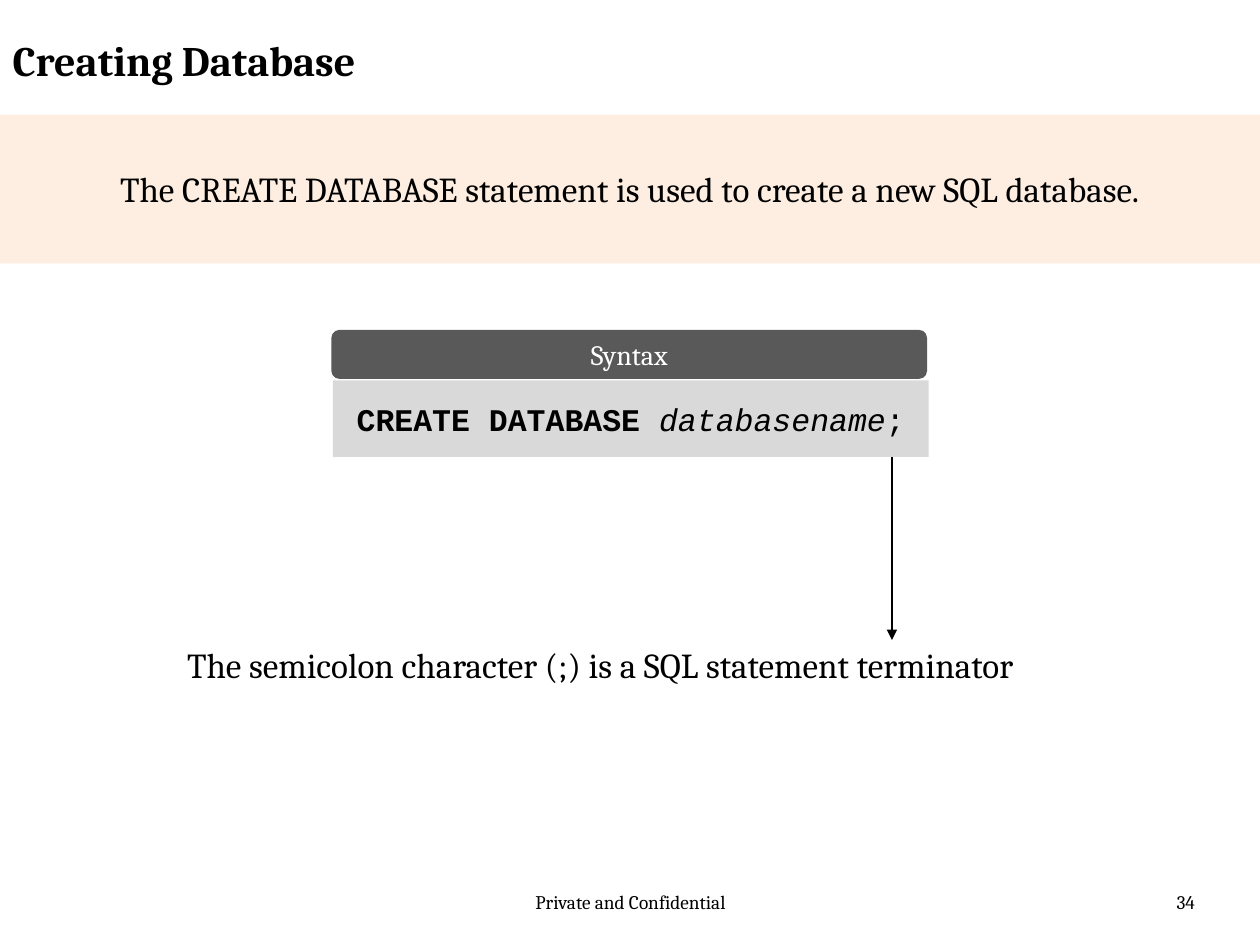
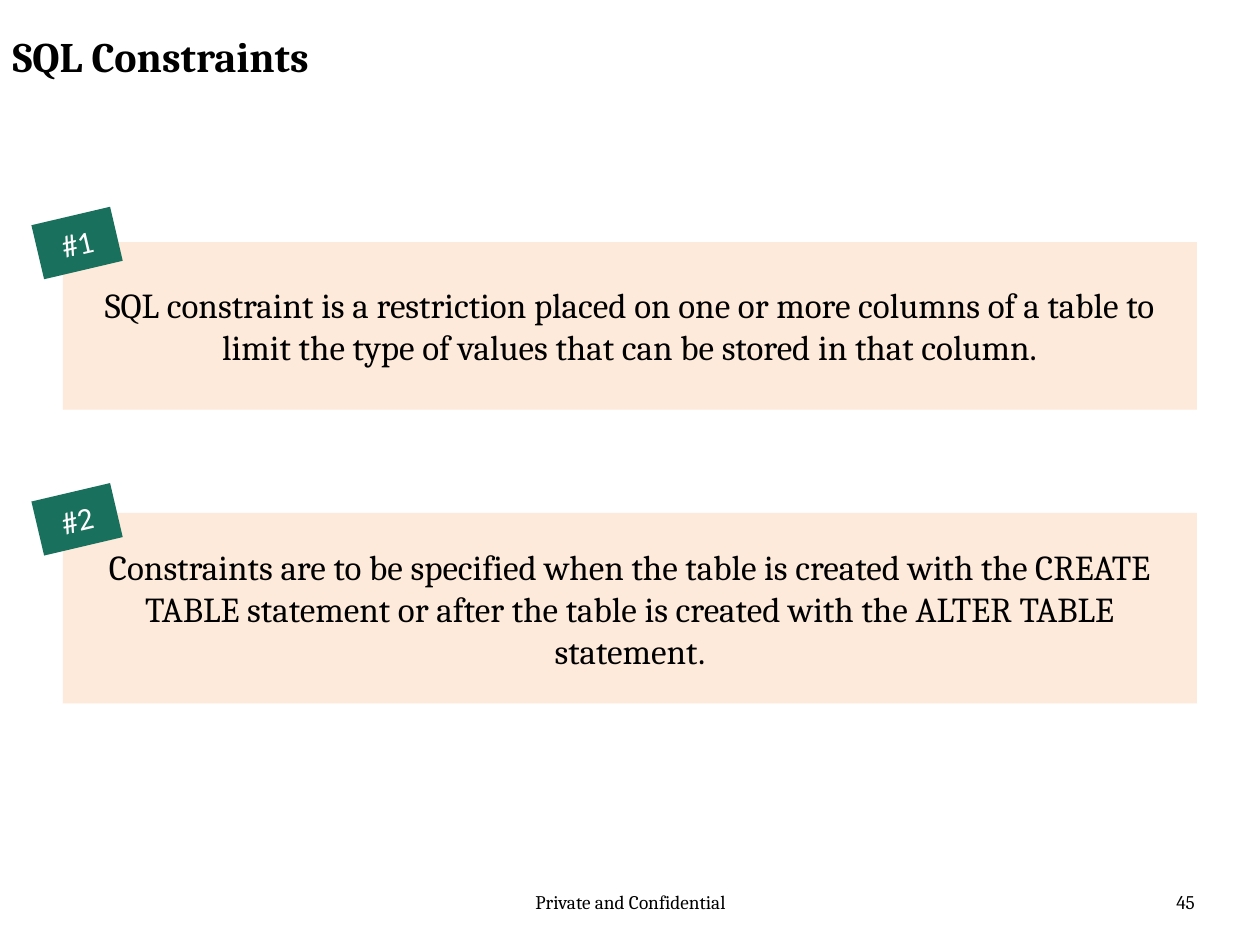
from pptx import Presentation
from pptx import util as u
from pptx.dml.color import RGBColor
from pptx.enum import shapes, text
from pptx.oxml import ns
from lxml import etree

COLOURS = {"ink": "000000", "paper": "FFFFFF", "peach": "FDEADA",
           "charcoal": "595959", "grey": "D9D9D9", "green": "19705D"}
SERIF, SANS, MONO = "Cambria", "Calibri", "Courier New"
ALIGN = text.PP_ALIGN
ANCHOR = text.MSO_ANCHOR
FORM = shapes.MSO_SHAPE


class SlideBuilder:
    def __init__(self):
        self.deck = Presentation()
        self.deck.slide_width, self.deck.slide_height = u.Cm(25.4), u.Cm(19.05)
        self.page = None

    def start(self, title, title_top, number):
        self.page = self.deck.slides.add_slide(self.deck.slide_layouts[5])
        box = self.page.shapes.title
        box.left, box.top, box.width, box.height = map(u.Cm, (0, title_top, 19.28, 1.57))
        self.fill_text(box, title, size=24, bold=True, align=ALIGN.LEFT, anchor=ANCHOR.TOP)
        self.label("Private and Confidential", (8.69, 17.83, 8.05, 1.02), size=11)
        self.label(str(number), (18.42, 17.83, 5.92, 1.02), size=11, align=ALIGN.RIGHT)

    def fill_text(self, box, content, size=20, font=SERIF, colour="ink", bold=None,
                  align=ALIGN.CENTER, anchor=ANCHOR.MIDDLE):
        frame = box.text_frame
        frame.word_wrap = True
        frame.auto_size = text.MSO_AUTO_SIZE.NONE
        frame.vertical_anchor = anchor
        para = frame.paragraphs[0]
        para.alignment = align
        para.font.name, para.font.size, para.font.bold = font, u.Pt(size), bold
        para.font.color.rgb = RGBColor.from_string(COLOURS[colour])
        spans = [(content, {})] if isinstance(content, str) else content
        for words, style in spans:
            span = para.add_run()
            span.text = words
            span.font.bold = style.get("bold")
            span.font.italic = style.get("italic")
        return para

    def label(self, content, place, **style):
        box = self.page.shapes.add_textbox(*map(u.Cm, place))
        return self.fill_text(box, content, anchor=ANCHOR.TOP, **style)

    def panel(self, content, place, fill, form=FORM.RECTANGLE, opacity=None,
              turn=0, corner=None, **style):
        box = self.page.shapes.add_shape(form, *map(u.Cm, place))
        box.shadow.inherit = False
        box.line.fill.background()
        box.fill.solid()
        box.fill.fore_color.rgb = RGBColor.from_string(COLOURS[fill])
        box.rotation = turn
        if corner is not None:
            box.adjustments[0] = corner
        if opacity is not None:
            colour = box._element.spPr.find(".//" + ns.qn("a:srgbClr"))
            etree.SubElement(colour, ns.qn("a:alpha"), val=str(opacity * 1000))
        return self.fill_text(box, content, **style)

    def arrow(self, x, top, bottom):
        line = self.page.shapes.add_connector(
            shapes.MSO_CONNECTOR.STRAIGHT, *map(u.Cm, (x, top, x, bottom)))
        line.line.width = u.Pt(1.5)
        line.line.color.rgb = RGBColor.from_string(COLOURS["ink"])
        properties = line._element.spPr
        etree.SubElement(properties.find(ns.qn("a:ln")), ns.qn("a:tailEnd"), type="triangle")
        etree.SubElement(properties, ns.qn("a:effectLst"))


def creating_database(builder):
    builder.start("Creating Database", 0.56, 34)
    builder.panel("The CREATE DATABASE statement is used to create a new SQL database.",
                  (0, 2.31, 25.4, 3), "peach", opacity=79)
    note = builder.label("The semicolon character (;) is a SQL statement terminator",
                         (1.12, 12.42, 21.97, 1.47))
    note.line_spacing = 1.5
    builder.arrow(17.98, 9.22, 12.9)
    builder.panel("Syntax", (6.68, 6.65, 12.01, 0.99), "charcoal",
                  form=FORM.ROUNDED_RECTANGLE, size=16, colour="paper")
    statement = [("CREATE DATABASE ", {"bold": True}),
                 ("databasename", {"italic": True}), (";", {})]
    builder.panel(statement, (6.71, 7.67, 12.01, 1.54), "grey",
                  form=FORM.ROUNDED_RECTANGLE, corner=0, size=18, font=MONO)


def sql_constraints(builder):
    builder.start("SQL Constraints", 0.48, 45)
    rules = [
        ("SQL constraint is a restriction placed on one or more columns of a table to "
         "limit the type of values that can be stored in that column.", 4.88, 3.38, 4.34),
        ("Constraints are to be specified when the table is created with the CREATE TABLE "
         "statement or after the table is created with the ALTER TABLE statement.",
         10.34, 3.84, 9.91),
    ]
    for number, (rule, top, height, tag_top) in enumerate(rules, 1):
        para = builder.panel(rule, (1.27, top, 22.86, height), "peach")
        para.space_after = u.Pt(6)
        builder.panel(f"#{number}", (0.74, tag_top, 1.63, 1.12), "green",
                      turn=346.8, size=18, font=SANS, colour="paper")


def main():
    builder = SlideBuilder()
    creating_database(builder)
    sql_constraints(builder)
    builder.deck.save("out.pptx")


if __name__ == "__main__":
    main()
